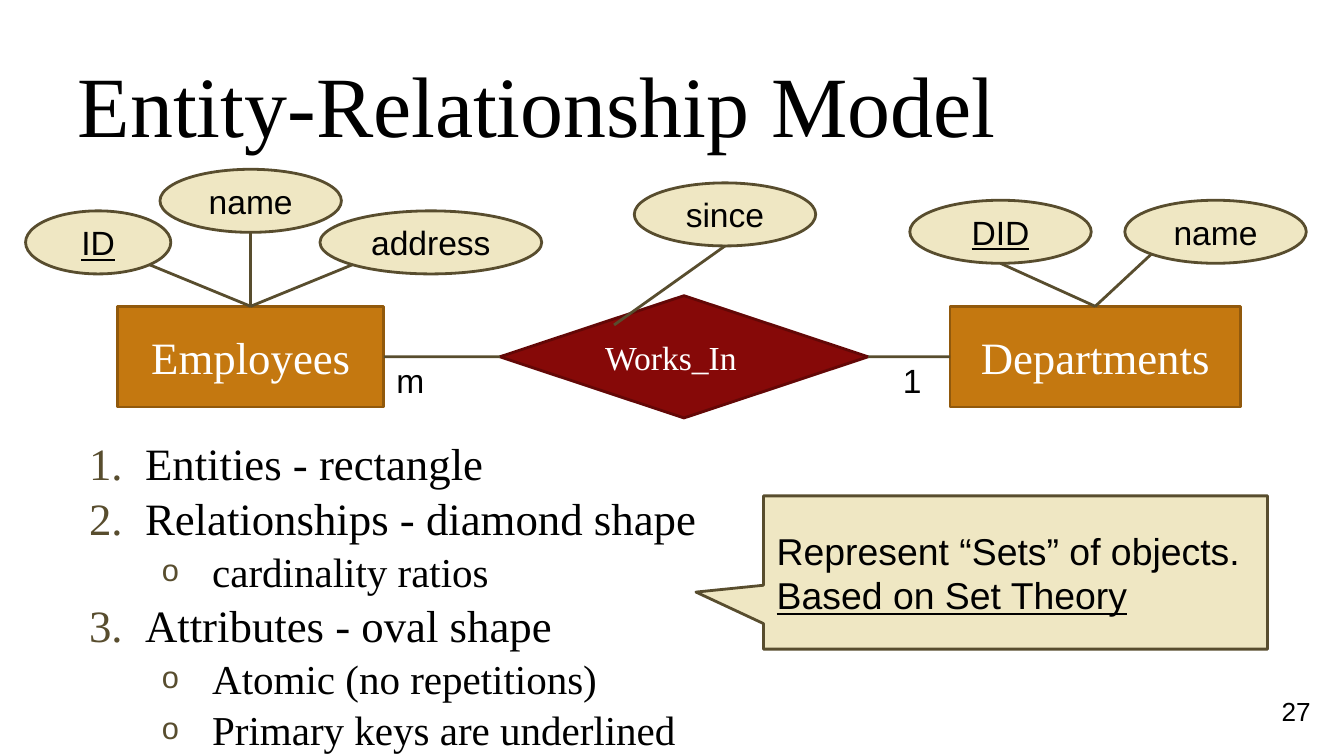
from lxml import etree
from pptx import Presentation
from pptx.dml.color import RGBColor
from pptx.enum import shapes, text
from pptx.oxml.ns import qn
from pptx.util import Pt

THEME = dict(
    serif="Times New Roman", sans="Arial",
    ink="000000", white="FFFFFF", brown="584D2E", cream="EFE7C3",
    orange="C47810", orange_edge="91590C", red="860908", red_edge="630706",
    title=46, entity=24, item=24, subitem=22, callout=20, label=18, number=14,
    line=1.5, inset=7.2,
)
T = THEME
KIND = shapes.MSO_SHAPE
ALIGN = text.PP_ALIGN
MIDDLE = text.MSO_ANCHOR.MIDDLE

TITLE = "Entity-Relationship Model"
NUMBER = "27"
ITEMS = [
    (0, "Entities - rectangle"),
    (0, "Relationships - diamond shape"),
    (1, "cardinality ratios"),
    (0, "Attributes - oval shape"),
    (1, "Atomic (no repetitions)"),
    (1, "Primary keys are underlined"),
]
CALLOUT = [("Represent “Sets” of objects.", False), ("Based on Set Theory", True)]
CALLOUT_BOX = (409, 265.7, 270, 82.1)

# name: (left, top, width, height)
ENTITIES = {
    "Employees": (63, 164.1, 142.6, 54),
    "Departments": (509, 164.1, 155.5, 54),
}
RELATIONSHIP = ("Works_In", (267.8, 158.4, 197.3, 65.5))
CARDINALITIES = [("1", 476.6), ("m", 205.2)]

# owner, label, left, top, width, is key, side of the oval where its line ends
OVAL_H = 33.8
ATTRIBUTES = [
    ("Employees", "ID", 13.7, 113, 77.8, True, "bottom right"),
    ("Employees", "name", 85.7, 90.7, 97.2, False, "bottom"),
    ("Employees", "address", 171.4, 113, 118.8, False, "bottom left"),
    ("Works_In", "since", 339.8, 98, 97.2, False, "bottom"),
    ("Departments", "DID", 487.4, 107.3, 97.2, True, "bottom"),
    ("Departments", "name", 602.6, 107.3, 97.2, False, "bottom left"),
]

# sides as fractions of a box; the diagonals lie on an ellipse at 45 degrees
SIDES = {
    "top": (0.5, 0), "bottom": (0.5, 1), "left": (0, 0.5), "right": (1, 0.5),
    "bottom left": (0.146, 0.854), "bottom right": (0.854, 0.854),
    "upper left": (0.31, 0.24),
}


def rgb(name):
    return RGBColor.from_string(T[name])


def point(box, side):
    x, y, w, h = box
    fx, fy = SIDES[side]
    return x + w * fx, y + h * fy


def add_bullet(p, level):
    """Number the top level and mark the second with a small o."""
    pPr = p._p.get_or_add_pPr()
    indent, hang = ((36, -30), (72, -27))[level]
    pPr.set("marL", str(Pt(indent)))
    pPr.set("indent", str(Pt(hang)))
    color = etree.SubElement(pPr, qn("a:buClr"))
    etree.SubElement(color, qn("a:srgbClr"), val=T["brown"])
    if level:
        etree.SubElement(pPr, qn("a:buSzPct"), val="75000")
    etree.SubElement(pPr, qn("a:buFont"), typeface=T["sans" if level else "serif"])
    if level:
        etree.SubElement(pPr, qn("a:buChar"), char="o")
    else:
        etree.SubElement(pPr, qn("a:buAutoNum"), type="arabicPeriod")


def write(p, content, size, font="sans", color="ink", align=ALIGN.LEFT, underline=False):
    p.alignment = align
    r = p.add_run()
    r.text = content
    r.font.size = Pt(T[size])
    r.font.name = T[font]
    r.font.color.rgb = rgb(color)
    if underline:
        r.font.underline = True


def frame(sp, anchor=MIDDLE, inset_y=T["inset"]):
    tf = sp.text_frame
    tf.word_wrap = True
    tf.vertical_anchor = anchor
    tf.margin_left = tf.margin_right = Pt(T["inset"])
    tf.margin_top = tf.margin_bottom = Pt(inset_y)
    return tf


def add_text(s, box, anchor=MIDDLE, inset_y=3.6):
    return frame(s.shapes.add_textbox(*map(Pt, box)), anchor, inset_y)


def add_shape(s, kind, box, fill="cream", edge="brown", adjust=()):
    sp = s.shapes.add_shape(kind, *map(Pt, box))
    sp.shadow.inherit = False
    sp.fill.solid()
    sp.fill.fore_color.rgb = rgb(fill)
    sp.line.color.rgb = rgb(edge)
    sp.line.width = Pt(T["line"])
    for i, value in enumerate(adjust):
        sp.adjustments[i] = value
    return frame(sp)


def add_line(s, start, end):
    c = s.shapes.add_connector(shapes.MSO_CONNECTOR.STRAIGHT, *map(Pt, start + end))
    c.line.color.rgb = rgb("brown")
    c.line.width = Pt(T["line"])
    etree.SubElement(c._element.spPr, qn("a:effectLst"))


def add_diagram(s):
    for name, box in ENTITIES.items():
        tf = add_shape(s, KIND.RECTANGLE, box, "orange", "orange_edge")
        write(tf.paragraphs[0], name, "entity", "serif", "white", ALIGN.CENTER)

    name, diamond = RELATIONSHIP
    tf = add_shape(s, KIND.DIAMOND, diamond, "red", "red_edge")
    write(tf.paragraphs[0], name, "label", "serif", "white")
    add_line(s, point(ENTITIES["Employees"], "right"), point(diamond, "left"))
    add_line(s, point(diamond, "right"), point(ENTITIES["Departments"], "left"))

    for owner, label, x, y, w, key, side in ATTRIBUTES:
        oval = (x, y, w, OVAL_H)
        tf = add_shape(s, KIND.OVAL, oval)
        write(tf.paragraphs[0], label, "label", align=ALIGN.CENTER, underline=key)
        if owner in ENTITIES:
            start = point(ENTITIES[owner], "top")
        else:
            start = point(diamond, "upper left")
        add_line(s, start, point(oval, side))

    for label, x in CARDINALITIES:
        tf = add_text(s, (x, 185.8, 30.2, 41.8), text.MSO_ANCHOR.TOP, T["inset"])
        write(tf.paragraphs[0], label, "label")


def add_items(s):
    tf = add_text(s, (34.6, 229.7, 430.6, 162), text.MSO_ANCHOR.TOP)
    for i, (level, content) in enumerate(ITEMS):
        p = tf.add_paragraph() if i else tf.paragraphs[0]
        p.level = level
        add_bullet(p, level)
        if i:
            p.space_before = Pt(1)
        write(p, content, "subitem" if level else "item", "serif")


def add_callout(s):
    tf = add_shape(s, KIND.ROUNDED_RECTANGULAR_CALLOUT, CALLOUT_BOX,
                   adjust=(-0.634, 0.128, 0))
    for i, (content, underline) in enumerate(CALLOUT):
        p = tf.add_paragraph() if i else tf.paragraphs[0]
        write(p, content, "callout", underline=underline)


def main():
    prs = Presentation()
    prs.slide_width, prs.slide_height = Pt(720), Pt(405)
    s = prs.slides.add_slide(prs.slide_layouts[6])
    write(add_text(s, (34.6, 29.5, 613.4, 51.1)).paragraphs[0], TITLE, "title", "serif")
    add_items(s)
    write(add_text(s, (592.6, 372.2, 116.6, 17.3)).paragraphs[0], NUMBER, "number",
          align=ALIGN.RIGHT)
    add_diagram(s)
    add_callout(s)
    prs.save("out.pptx")


if __name__ == "__main__":
    main()
